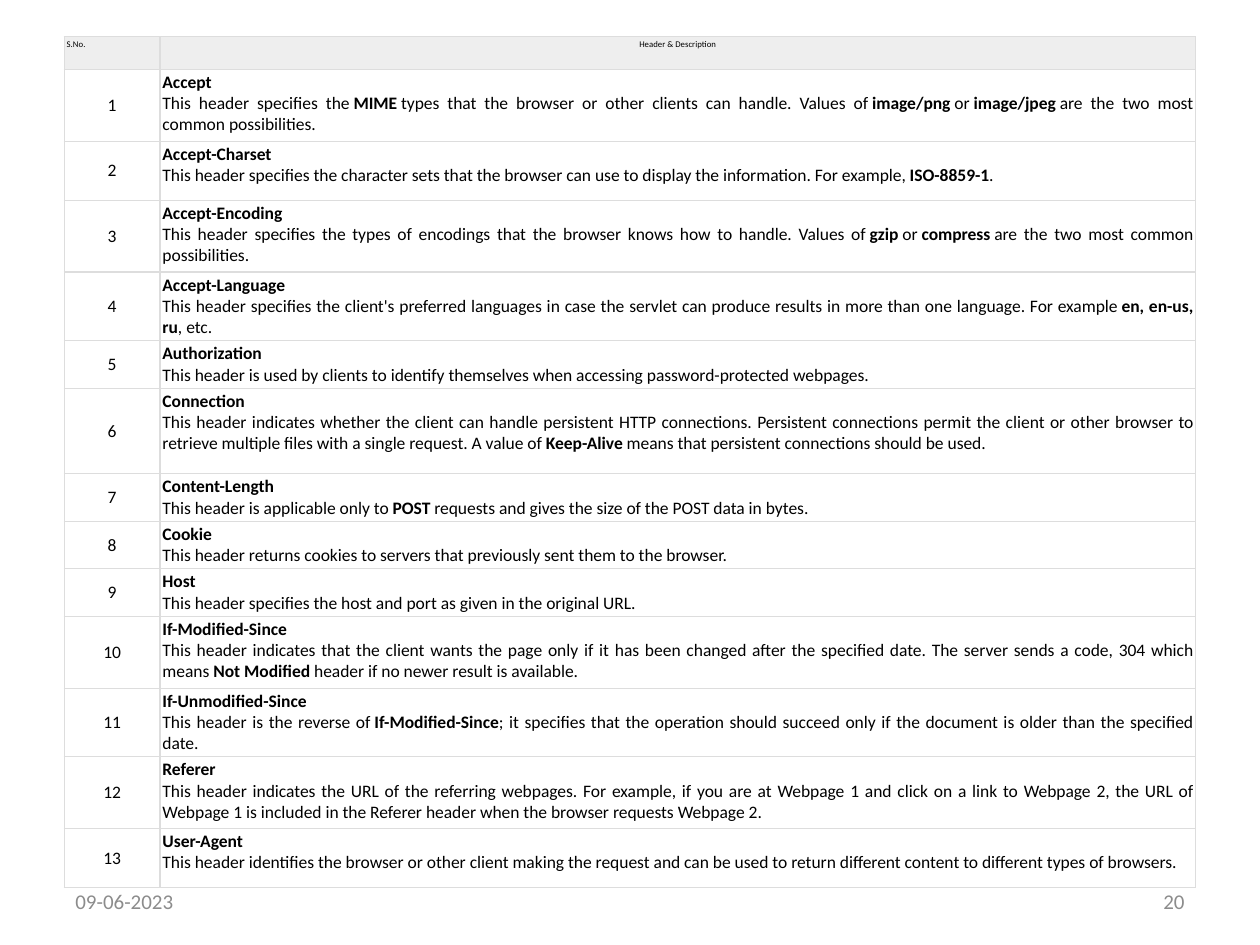
"""Build a slide with a table of HTTP request headers."""
from lxml.etree import SubElement
from pptx import Presentation
from pptx.dml.color import RGBColor
from pptx.enum.text import MSO_ANCHOR as ANCHOR, PP_ALIGN as ALIGN
from pptx.oxml.ns import qn
from pptx.util import Inches, Pt


def style(r, size, color="000000", bold=False):
    r.font.name = "Calibri"
    r.font.size = Pt(size)
    r.font.bold = bold
    r.font.color.rgb = RGBColor.from_string(color)


def format_cell(cell, fill=None):
    cell.margin_left = cell.margin_right = Inches(0.02)
    cell.margin_top = cell.margin_bottom = Inches(0.02)
    tcPr = cell._tc.get_or_add_tcPr()
    for side in ("a:lnL", "a:lnR", "a:lnT", "a:lnB"):
        ln = SubElement(tcPr, qn(side), w=str(Pt(0.75)))
        SubElement(SubElement(ln, qn("a:solidFill")), qn("a:srgbClr"), val="DDDDDD")
    if fill:
        cell.fill.solid()
        cell.fill.fore_color.rgb = RGBColor.from_string(fill)
    else:
        cell.fill.background()


headers = [
    (0.57, "Accept", "This header specifies the *MIME* types that the browser or other clients can handle. "
     "Values of *image/png* or *image/jpeg* are the two most common possibilities."),
    (0.47, "Accept-Charset", "This header specifies the character sets that the browser can use to display "
     "the information. For example, *ISO-8859-1*."),
    (0.57, "Accept-Encoding", "This header specifies the types of encodings that the browser knows how to "
     "handle. Values of *gzip* or *compress* are the two most common possibilities."),
    (0.47, "Accept-Language", "This header specifies the client's preferred languages in case the servlet can "
     "produce results in more than one language. For example *en, en-us, ru*, etc."),
    (0.37, "Authorization", "This header is used by clients to identify themselves when accessing "
     "password-protected webpages."),
    (0.68, "Connection", "This header indicates whether the client can handle persistent HTTP connections. "
     "Persistent connections permit the client or other browser to retrieve multiple files with a single "
     "request. A value of *Keep-Alive* means that persistent connections should be used."),
    (0.37, "Content-Length", "This header is applicable only to *POST* requests and gives the size of the "
     "POST data in bytes."),
    (0.37, "Cookie", "This header returns cookies to servers that previously sent them to the browser."),
    (0.37, "Host", "This header specifies the host and port as given in the original URL."),
    (0.57, "If-Modified-Since", "This header indicates that the client wants the page only if it has been "
     "changed after the specified date. The server sends a code, 304 which means *Not Modified* header if no "
     "newer result is available."),
    (0.47, "If-Unmodified-Since", "This header is the reverse of *If-Modified-Since*; it specifies that the "
     "operation should succeed only if the document is older than the specified date."),
    (0.57, "Referer", "This header indicates the URL of the referring webpages. For example, if you are at "
     "Webpage 1 and click on a link to Webpage 2, the URL of Webpage 1 is included in the Referer header when "
     "the browser requests Webpage 2."),
    (0.47, "User-Agent", "This header identifies the browser or other client making the request and can be "
     "used to return different content to different types of browsers."),
]

prs = Presentation()
prs.slide_width, prs.slide_height = Inches(10), Inches(7.5)
s = prs.slides.add_slide(prs.slide_layouts[6])

table = s.shapes.add_table(len(headers) + 1, 2, Inches(0.51), Inches(0.29), Inches(8.98), Inches(6.58)).table
table.first_row = table.horz_banding = False
table.columns[0].width, table.columns[1].width = Inches(0.76), Inches(8.22)
table.rows[0].height = Inches(0.26)

for col, (title, align) in enumerate([("S.No.", ALIGN.LEFT), ("Header & Description", ALIGN.CENTER)]):
    cell = table.cell(0, col)
    format_cell(cell, "EEEEEE")
    p = cell.text_frame.paragraphs[0]
    p.text = title
    p.alignment = align
    style(p.runs[0], 5)

for row, (height, name, description) in enumerate(headers, 1):
    table.rows[row].height = Inches(height)
    number, detail = table.cell(row, 0), table.cell(row, 1)
    format_cell(number)
    format_cell(detail)
    number.vertical_anchor = ANCHOR.MIDDLE
    p = number.text_frame.paragraphs[0]
    p.text = str(row)
    p.alignment = ALIGN.CENTER
    style(p.runs[0], 10)

    tf = detail.text_frame
    tf.text = name
    style(tf.paragraphs[0].runs[0], 10, bold=True)
    p = tf.add_paragraph()
    marked = description.replace(" *", "\u00a0*").replace("* ", "*\u00a0")
    for i, part in enumerate(marked.split("*")):
        r = p.add_run()
        r.text = part
        style(r, 10, bold=i % 2 == 1)
    for p in tf.paragraphs:
        p.alignment = ALIGN.JUSTIFY

for left, text, align in [(0.5, "09-06-2023", ALIGN.LEFT), (7.17, "20", ALIGN.RIGHT)]:
    tf = s.shapes.add_textbox(Inches(left), Inches(6.95), Inches(2.33), Inches(0.4)).text_frame
    tf.word_wrap = True
    tf.vertical_anchor = ANCHOR.MIDDLE
    p = tf.paragraphs[0]
    p.text = text
    p.alignment = align
    style(p.runs[0], 12, "8C8C8C")

prs.save("out.pptx")
